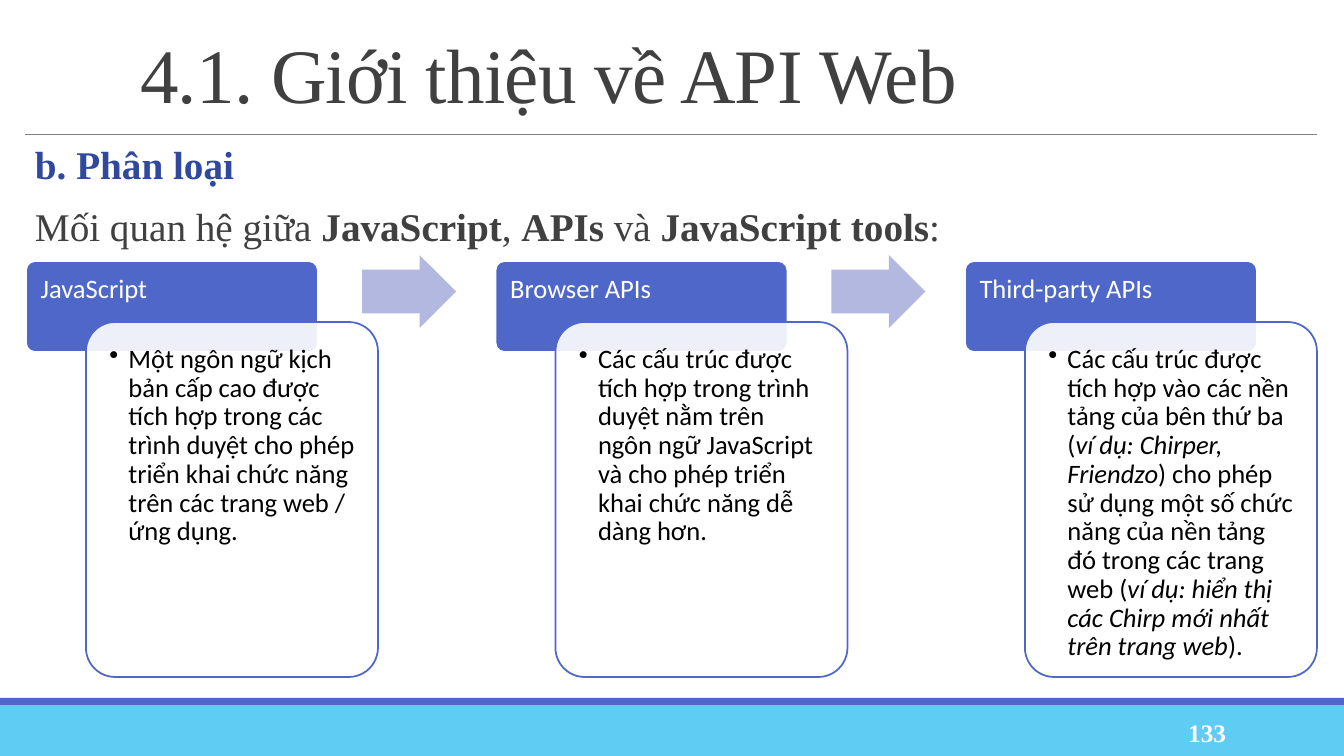
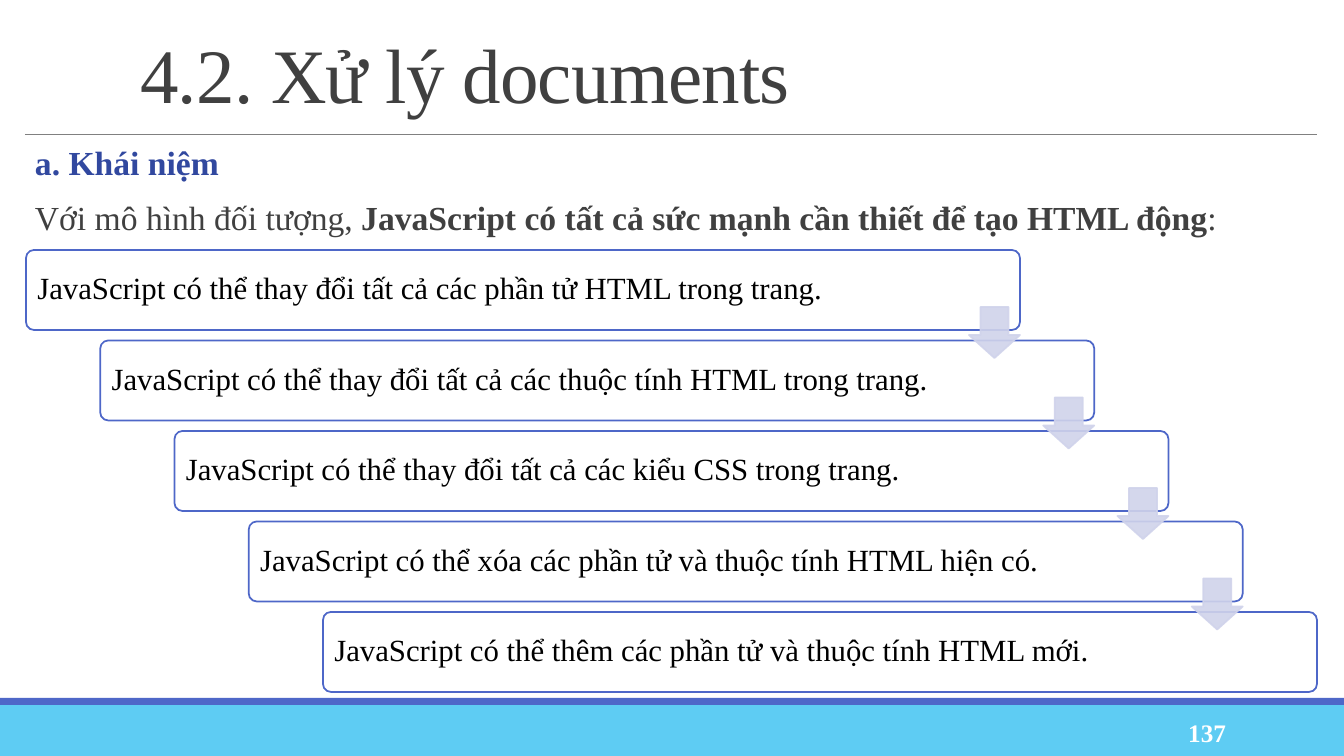
import dataclasses

import lxml.etree
import pptx
import pptx.dml.color
import pptx.enum.shapes
import pptx.enum.text
import pptx.oxml.ns
import pptx.util

PX = 12192000 / 1344  # EMU in one px
SHAPE = pptx.enum.shapes.MSO_SHAPE
ANCHOR = pptx.enum.text.MSO_ANCHOR
ALIGN = pptx.enum.text.PP_ALIGN


@dataclasses.dataclass(frozen=True)
class Theme:
    serif: str = "Times New Roman"
    sans: str = "Calibri"
    title_size: int = 55
    step_size: int = 22
    card_size: int = 19
    number_size: int = 18
    white: str = "FFFFFF"
    black: str = "000000"
    text: str = "404040"
    heading: str = "31489F"
    accent: str = "4E67C8"
    footer: str = "5ECCF3"
    rule: str = "808080"
    flow_arrow: str = "B2B8E0"
    step_arrow: str = "D0D3EB"
    outline: float = 1.25


THEME = Theme()


def px(length):
    return pptx.util.Emu(round(length * PX))


def box(x, y, width, height):
    return px(x), px(y), px(width), px(height)


def rgb(value):
    return pptx.dml.color.RGBColor.from_string(value)


def set_alpha(parent, percent):
    """Make the solid colour directly inside the given XML element translucent."""
    colour = parent.find(pptx.oxml.ns.qn("a:solidFill"))[0]
    alpha = lxml.etree.SubElement(colour, pptx.oxml.ns.qn("a:alpha"))
    alpha.set("val", str(percent * 1000))


def add_block(slide, kind, area, fill, line=None, adjustments=(), alpha=None):
    block = slide.shapes.add_shape(kind, *box(*area))
    block.shadow.inherit = False
    for index, value in enumerate(adjustments):
        block.adjustments[index] = value
    block.fill.solid()
    block.fill.fore_color.rgb = rgb(fill)
    if line:
        block.line.color.rgb = rgb(line)
        block.line.width = pptx.util.Pt(THEME.outline)
    else:
        block.line.fill.background()
    if alpha:
        set_alpha(block.fill._xPr, alpha)
    return block


def set_frame(shape, insets, anchor):
    frame = shape.text_frame
    frame.word_wrap = True
    frame.vertical_anchor = anchor
    (frame.margin_left, frame.margin_top,
     frame.margin_right, frame.margin_bottom) = map(px, insets)
    return frame


def write(paragraph, text, font, size, colour, bold=None, emphasis="bold",
          align=ALIGN.LEFT, spacing=0.9):
    """Fill a paragraph; parts between asterisks get the emphasis."""
    paragraph.alignment = align
    paragraph.line_spacing = spacing
    paragraph.font.name = font
    paragraph.font.size = pptx.util.Pt(size)
    paragraph.font.color.rgb = rgb(colour)
    paragraph.font.bold = bold
    for index, part in enumerate(text.split("*")):
        run = paragraph.add_run()
        run.text = part
        if index % 2:
            setattr(run.font, emphasis, True)


def set_indent(paragraph, left, first, bullet=None):
    properties = paragraph._p.get_or_add_pPr()
    properties.set("marL", str(px(left)))
    properties.set("indent", str(px(first)))
    if bullet:
        mark = lxml.etree.SubElement(properties, pptx.oxml.ns.qn("a:buChar"))
        mark.set("char", bullet)


# Parts shared by all slides
def add_footer(slide, number):
    add_block(slide, SHAPE.RECTANGLE, (0, 705, 1344, 51), THEME.footer)
    add_block(slide, SHAPE.RECTANGLE, (0, 698, 1344, 7), THEME.accent)
    page = slide.shapes.add_textbox(*box(1092, 712, 144, 40))
    frame = set_frame(page, (10, 5, 10, 5), ANCHOR.MIDDLE)
    write(frame.paragraphs[0], number, THEME.serif, THEME.number_size,
          THEME.white, bold=True, align=ALIGN.RIGHT, spacing=1.0)


def add_title(slide, text):
    title = slide.shapes.title
    title.left, title.top, title.width, title.height = box(130, 31, 1187, 97)
    frame = set_frame(title, (10, 5, 10, 5), ANCHOR.MIDDLE)
    frame.auto_size = pptx.enum.text.MSO_AUTO_SIZE.NONE
    write(frame.paragraphs[0], text, THEME.serif, THEME.title_size,
          THEME.text, spacing=0.85)
    frame.paragraphs[0].runs[0]._r.get_or_add_rPr().set("spc", "-50")

    rule = slide.shapes.add_connector(
        pptx.enum.shapes.MSO_CONNECTOR.STRAIGHT, px(25), px(134), px(1317), px(134))
    rule.line.color.rgb = rgb(THEME.rule)
    rule.line.width = pptx.util.Pt(0.5)
    lxml.etree.SubElement(rule._element.spPr, pptx.oxml.ns.qn("a:effectLst"))


def add_intro(slide, heading, sentence, size):
    intro = slide.shapes.add_textbox(*box(25, 141, 1292, 110))
    frame = set_frame(intro, (0, 5, 0, 5), ANCHOR.TOP)
    lead = frame.paragraphs[0]
    body = frame.add_paragraph()
    body.space_before = pptx.util.Pt(12)
    for paragraph in (lead, body):
        paragraph.space_after = pptx.util.Pt(2)
        set_indent(paragraph, 10, 0)
    write(lead, heading, THEME.serif, size, THEME.heading, bold=True,
          align=ALIGN.JUSTIFY)
    write(body, sentence, THEME.serif, size, THEME.text, align=ALIGN.JUSTIFY)


def start_slide(deck, title, number, heading, sentence, size):
    slide = deck.slides.add_slide(deck.slide_layouts[5])
    add_footer(slide, number)
    add_title(slide, title)
    add_intro(slide, heading, sentence, size)
    return slide


# Row of headed cards joined by arrows
def add_card(slide, x, y, heading, description):
    head = add_block(slide, SHAPE.ROUNDED_RECTANGLE, (x, y, 292, 91),
                     THEME.accent, THEME.white, (0.1,))
    frame = set_frame(head, (12, 12, 12, 8), ANCHOR.TOP)
    write(frame.paragraphs[0], heading, THEME.sans, THEME.card_size, THEME.white)

    card = add_block(slide, SHAPE.ROUNDED_RECTANGLE, (x + 60, y + 61, 292, 355),
                     THEME.white, THEME.accent, (0.1,), alpha=90)
    frame = set_frame(card, (15, 15, 15, 15), ANCHOR.TOP)
    set_indent(frame.paragraphs[0], 19, -19, "•")
    write(frame.paragraphs[0], description, THEME.sans, THEME.card_size,
          THEME.black, emphasis="italic")


def add_card_row(slide, x, y, width, cards):
    pitch = (width - 352) / (len(cards) - 1)
    for index, (heading, description) in enumerate(cards):
        left = x + index * pitch
        add_card(slide, left, y, heading, description)
        if index < len(cards) - 1:
            add_block(slide, SHAPE.RIGHT_ARROW, (left + 336, y - 6, 94, 73),
                      THEME.flow_arrow, adjustments=(0.6, 0.5))


# Staircase of steps joined by arrows
def add_staircase(slide, x, y, width, height, steps):
    step_width, step_height, arrow = 994, 80, 51
    across = (width - step_width) / (len(steps) - 1)
    down = (height - step_height) / (len(steps) - 1)
    for index, text in enumerate(steps):
        step = add_block(slide, SHAPE.ROUNDED_RECTANGLE,
                         (x + index * across, y + index * down, step_width, step_height),
                         THEME.white, THEME.accent, (0.1,))
        frame = set_frame(step, (9, 9, 9, 9), ANCHOR.MIDDLE)
        write(frame.paragraphs[0], text, THEME.serif, THEME.step_size, THEME.black)
    for index in range(len(steps) - 1):
        right = x + index * across + step_width
        link = add_block(slide, SHAPE.DOWN_ARROW,
                         (right - arrow, y + index * down + 57, arrow, arrow),
                         THEME.step_arrow, THEME.step_arrow, (0.55, 0.45), alpha=90)
        set_alpha(link.line._get_or_add_ln(), 90)


def build_api_slide(deck):
    slide = start_slide(
        deck, "4.1. Giới thiệu về API Web", "133", "b. Phân loại",
        "Mối quan hệ giữa *JavaScript*, *APIs* và *JavaScript tools*:", 28)
    add_card_row(slide, 26, 261, 1291, [
        ("JavaScript",
         "Một ngôn ngữ kịch bản cấp cao được tích hợp trong các trình duyệt "
         "cho phép triển khai chức năng trên các trang web / ứng dụng."),
        ("Browser APIs",
         "Các cấu trúc được tích hợp trong trình duyệt nằm trên ngôn ngữ "
         "JavaScript và cho phép triển khai chức năng dễ dàng hơn."),
        ("Third-party APIs",
         "Các cấu trúc được tích hợp vào các nền tảng của bên thứ ba "
         "(*ví dụ: Chirper, Friendzo*) cho phép sử dụng một số chức năng của "
         "nền tảng đó trong các trang web (*ví dụ: hiển thị các Chirp mới "
         "nhất trên trang web*)."),
    ])


def build_documents_slide(deck):
    slide = start_slide(
        deck, "4.2. Xử lý documents", "137", "a. Khái niệm",
        "Với mô hình đối tượng, *JavaScript có tất cả sức mạnh cần thiết để "
        "tạo HTML động*:", 24)
    add_staircase(slide, 26, 250, 1291, 442, [
        "JavaScript có thể thay đổi tất cả các phần tử HTML trong trang.",
        "JavaScript có thể thay đổi tất cả các thuộc tính HTML trong trang.",
        "JavaScript có thể thay đổi tất cả các kiểu CSS trong trang.",
        "JavaScript có thể xóa các phần tử và thuộc tính HTML hiện có.",
        "JavaScript có thể thêm các phần tử và thuộc tính HTML mới.",
    ])


def main():
    deck = pptx.Presentation()
    deck.slide_width, deck.slide_height = px(1344), px(756)
    build_api_slide(deck)
    build_documents_slide(deck)
    deck.save("out.pptx")


if __name__ == "__main__":
    main()
